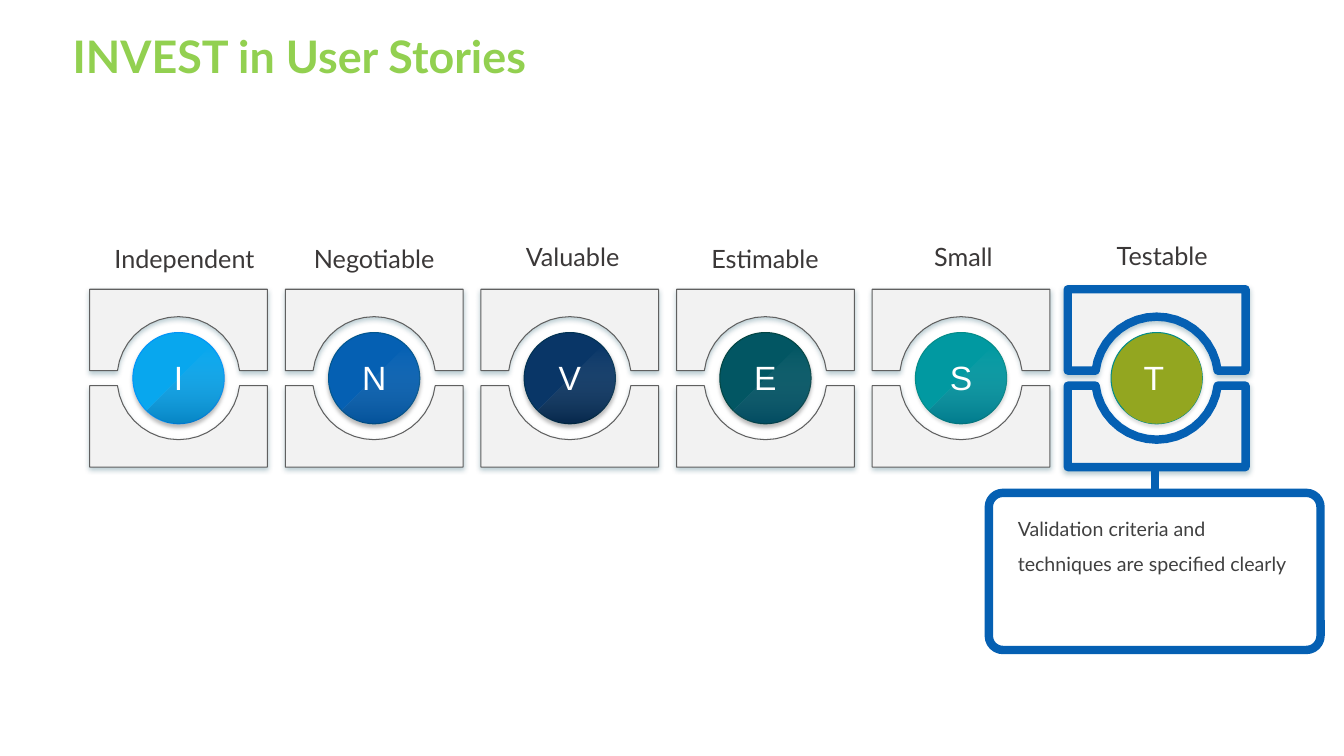
from collections import namedtuple
from math import asin, cos, pi, sin

from lxml.etree import SubElement
from pptx import Presentation
from pptx.dml.color import RGBColor
from pptx.enum.shapes import MSO_CONNECTOR as Link, MSO_SHAPE as Kind
from pptx.enum.text import MSO_ANCHOR as Anchor, MSO_AUTO_SIZE as Fit, PP_ALIGN as Align
from pptx.oxml.ns import qn
from pptx.util import Cm, Pt

WHITE = RGBColor(0xFF, 0xFF, 0xFF)
BLACK = RGBColor(0x00, 0x00, 0x00)
GREEN = RGBColor(0x92, 0xD0, 0x50)
PALE = RGBColor(0xF2, 0xF2, 0xF2)
GREY = RGBColor(0x60, 0x60, 0x60)
INK = RGBColor(0x3B, 0x38, 0x38)
SOFT = RGBColor(0x40, 0x40, 0x40)
BLUE = RGBColor(0x05, 0x60, 0xB3)
SKY = RGBColor(0x08, 0xA7, 0xEE)
SKY_RIM = RGBColor(0x01, 0x95, 0xF9)
BLUE_RIM = RGBColor(0x01, 0x56, 0x8F)
NAVY = RGBColor(0x09, 0x36, 0x67)
NAVY_RIM = RGBColor(0x01, 0x32, 0x53)
PINE = RGBColor(0x02, 0x56, 0x63)
PINE_RIM = RGBColor(0x03, 0x45, 0x43)
TEAL = RGBColor(0x01, 0x99, 0xA1)
TEAL_RIM = RGBColor(0x04, 0x8C, 0x89)
OLIVE = RGBColor(0x93, 0xA6, 0x20)
SHADE = RGBColor(0x00, 0x46, 0x5B)
GLOSS = RGBColor(0x01, 0x31, 0x5D)
DARK = RGBColor(0x00, 0x0C, 0x16)

# Centimetres: first centre, pitch, middle height, frame half side, half gap, radii
START, PITCH, MID = 4.5, 4.93, 9.53
HALF, GAP, ARC, DISC = 2.24, 0.19, 1.55, 1.15

# left and top place the label; shift moves the letter; deep is the disc shadow
Trait = namedtuple("Trait", "word left top fill rim deep gloss dark shift")
TRAITS = [
    Trait("Independent", 2.87, 6.12, SKY, SKY_RIM, (27, 3), GLOSS, 29, 0),
    Trait("Negotiable", 7.65, 6.12, BLUE, BLUE_RIM, (27, 3), GLOSS, 29, 0),
    Trait("Valuable", 12.65, 6.07, NAVY, NAVY_RIM, (27, 3), DARK, 35, 0),
    Trait("Estimable", 17.5, 6.12, PINE, PINE_RIM, (27, 3), GLOSS, 29, 0),
    Trait("Small", 22.5, 6.07, TEAL, TEAL_RIM, (13, 2), GLOSS, 29, 0),
    Trait("Testable", 27.51, 6.05, OLIVE, TEAL_RIM, (13, 2), None, 0, -0.07),
]


def shadow(shape, color, alpha, blur):
    """Drop a soft shadow straight down, 2 pt away."""
    shape.shadow.inherit = False
    effect = shape.element.spPr.find(qn("a:effectLst"))
    outer = SubElement(effect, qn("a:outerShdw"), blurRad=str(Pt(blur)),
                       dist=str(Pt(2)), dir="5400000", algn="t", rotWithShape="0")
    tint = SubElement(outer, qn("a:srgbClr"), val=str(color))
    SubElement(tint, qn("a:alpha"), val=str(alpha * 1000))


def paint(shape, fill, line, width):
    shape.fill.solid()
    shape.fill.fore_color.rgb = fill
    shape.line.color.rgb = line
    shape.line.width = Pt(width)


def arc(x, y, radius, first, last, steps=18):
    """Points on a circle between two angles, clockwise from the right."""
    angles = [first + (last - first) * i / steps for i in range(steps + 1)]
    return [(x + radius * cos(a), y + radius * sin(a)) for a in angles]


def bracket(shapes, x, side, line, width):
    """Half a frame around the disc: side -1 is above, 1 below."""
    tip = asin(GAP / ARC)
    near, far = MID + side * GAP, MID + side * HALF
    points = arc(x, MID, ARC, side * (pi - tip), side * tip)
    points += [(x + HALF, near), (x + HALF, far), (x - HALF, far), (x - HALF, near)]
    spots = [(Cm(a), Cm(b)) for a, b in points]
    form = shapes.build_freeform(*spots[0])
    form.add_line_segments(spots[1:], close=True)
    half = form.convert_to_shape()
    paint(half, PALE, line, width)
    shadow(half, SHADE, 27, 4)


def round_shape(shapes, kind, x):
    """Add a shape that fills the square around a disc."""
    return shapes.add_shape(kind, Cm(x - DISC), Cm(MID - DISC),
                            Cm(2 * DISC), Cm(2 * DISC))


def disc(shapes, x, trait):
    ball = round_shape(shapes, Kind.OVAL, x)
    paint(ball, trait.fill, trait.rim, 0.75)
    shadow(ball, BLACK, *trait.deep)


def shine(shapes, x, trait):
    """Cover the lower right half of a disc."""
    half = round_shape(shapes, Kind.CHORD, x)
    # Angles of 315 and 135 degrees, at 0.6 a degree
    half.adjustments[0], half.adjustments[1] = 189, 81
    half.shadow.inherit = False
    half.line.fill.background()
    if trait.gloss is None:
        half.fill.solid()
        half.fill.fore_color.rgb = trait.fill
        return
    half.fill.gradient()
    half.fill.gradient_angle = 90
    for stop, color in zip(half.fill.gradient_stops, (trait.gloss, WHITE)):
        stop.color.rgb = color
    tints = half.element.spPr.find(qn("a:gradFill")).findall(".//" + qn("a:srgbClr"))
    for tint, alpha in zip(tints, (trait.dark, 0)):
        SubElement(tint, qn("a:alpha"), val=str(alpha * 1000))


def write(frame, words, size, color, font="Lato", align=Align.LEFT, bold=False):
    para = frame.paragraphs[0]
    para.alignment = align
    run = para.add_run()
    run.text = words
    run.font.name = font
    run.font.size = Pt(size)
    run.font.bold = bold
    run.font.color.rgb = color
    return para


def inset(frame, gap):
    frame.margin_left = frame.margin_right = Cm(gap)
    frame.margin_top = frame.margin_bottom = Cm(gap)


def textbox(shapes, left, top, width, height):
    frame = shapes.add_textbox(Cm(left), Cm(top), Cm(width), Cm(height)).text_frame
    frame.word_wrap = True
    return frame


def letter(shapes, x, trait):
    frame = textbox(shapes, x + trait.shift - 1.13, MID - 0.66, 2.26, 1.27)
    frame.vertical_anchor = Anchor.MIDDLE
    write(frame, trait.word[0], 24, WHITE, "Arial", Align.CENTER)


def label(shapes, trait):
    frame = textbox(shapes, trait.left, trait.top, 3.56, 0.53)
    inset(frame, 0)
    write(frame, trait.word, 18, INK, align=Align.CENTER)


def callout(shapes, x, words):
    box = shapes.add_shape(Kind.ROUNDED_RECTANGLE, Cm(x - 4.18), Cm(12.42),
                           Cm(8.36), Cm(3.96))
    box.adjustments[0] = 0.09
    box.shadow.inherit = False
    box.fill.background()
    box.line.color.rgb = BLUE
    box.line.width = Pt(6)
    stem = shapes.add_connector(Link.STRAIGHT, Cm(x), Cm(MID + HALF), Cm(x), Cm(12.42))
    stem.end_connect(box, 0)
    stem.line.color.rgb = BLUE
    stem.line.width = Pt(6)
    SubElement(stem.element.spPr, qn("a:effectLst"))
    frame = textbox(shapes, 25.4, 12.6, 7.47, 2.06)
    write(frame, words, 14, SOFT).line_spacing = 1.5


def heading(shapes, words):
    title = shapes.title
    title.left, title.top = Cm(1.7), Cm(0.66)
    title.width, title.height = Cm(32), Cm(1.73)
    frame = title.text_frame
    frame.auto_size = Fit.NONE
    frame.vertical_anchor = Anchor.MIDDLE
    inset(frame, 0.13)
    write(frame, words, 32, GREEN, bold=True).line_spacing = 0.8


def main():
    deck = Presentation()
    deck.slide_width, deck.slide_height = Cm(33.87), Cm(19.05)
    shapes = deck.slides.add_slide(deck.slide_layouts[5]).shapes
    heading(shapes, "INVEST in User Stories")
    for i, trait in enumerate(TRAITS):
        x = START + i * PITCH
        line, width = (BLUE, 6) if trait is TRAITS[-1] else (GREY, 0.75)
        for side in (-1, 1):
            bracket(shapes, x, side, line, width)
        disc(shapes, x, trait)
        shine(shapes, x, trait)
        letter(shapes, x, trait)
        label(shapes, trait)
    callout(shapes, 29.1, "Validation criteria and techniques are specified clearly")
    deck.save("out.pptx")


if __name__ == "__main__":
    main()
